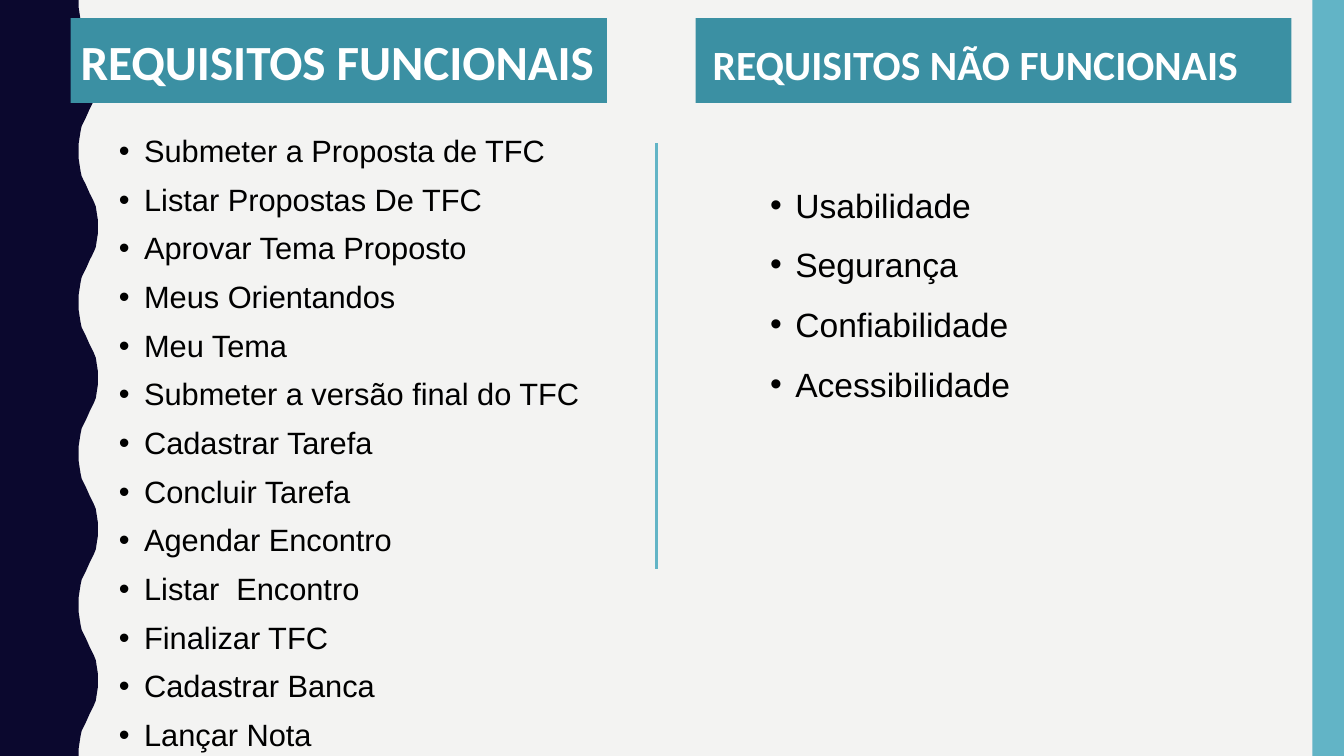
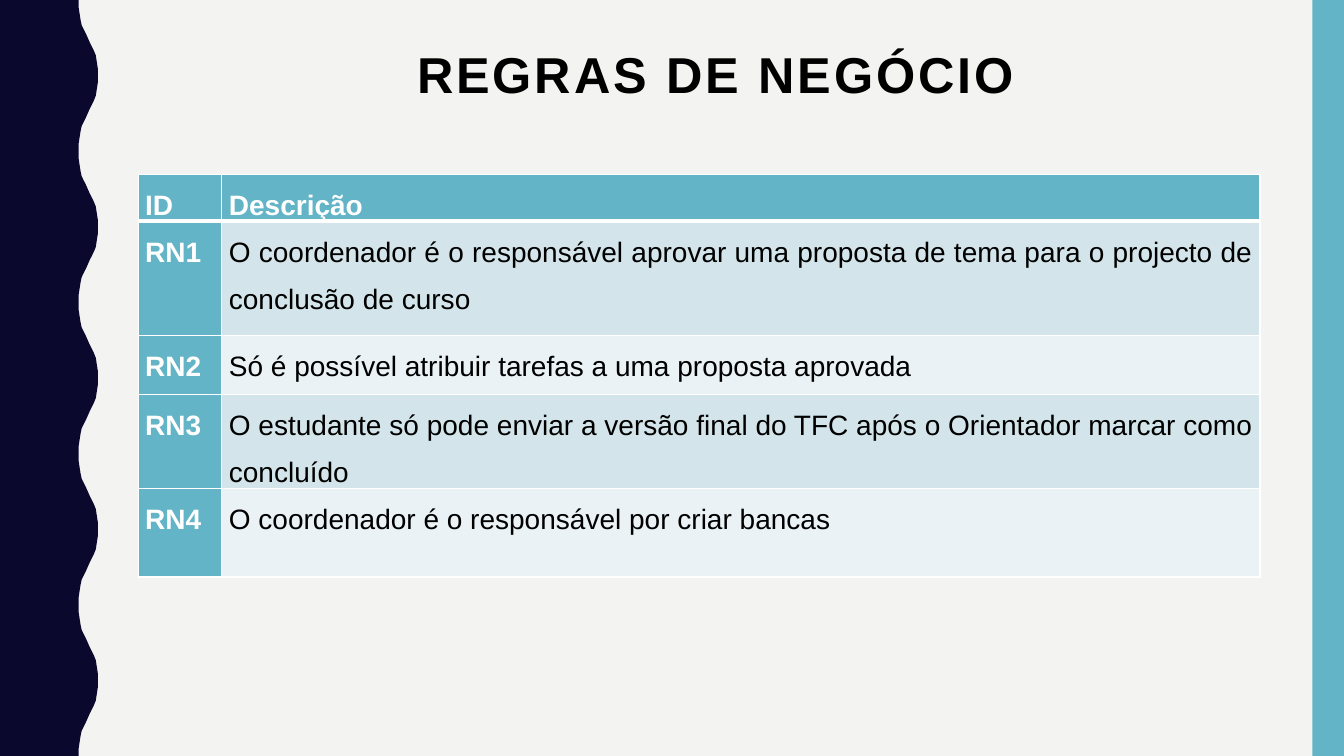
from lxml.etree import SubElement
from pptx import Presentation
from pptx.dml.color import RGBColor
from pptx.enum.shapes import MSO_CONNECTOR, MSO_SHAPE
from pptx.enum.text import MSO_ANCHOR, MSO_AUTO_SIZE, PP_ALIGN
from pptx.oxml import parse_xml
from pptx.oxml.ns import nsdecls, qn
from pptx.util import Inches, Pt

COLORS = {
    "background": "F3F3F2",
    "navy": "0B082E",
    "aqua": "62B4C6",
    "teal": "3B90A3",
    "row_dark": "D3E5EA",
    "row_light": "EAF2F5",
    "white": "FFFFFF",
    "black": "000000",
}

FUNCTIONAL = [
    "Submeter a Proposta de TFC",
    "Listar Propostas De TFC",
    "Aprovar Tema Proposto",
    "Meus Orientandos",
    "Meu Tema",
    "Submeter a versão final do TFC",
    "Cadastrar Tarefa",
    "Concluir Tarefa",
    "Agendar Encontro",
    "Listar  Encontro",
    "Finalizar TFC",
    "Cadastrar Banca",
    "Lançar Nota",
]
NON_FUNCTIONAL = ["Usabilidade", "Segurança", "Confiabilidade", "Acessibilidade"]
RULES = [
    ("ID", "Descrição"),
    ("RN1", "O coordenador é o responsável aprovar uma proposta de tema "
            "para o projecto de conclusão de curso"),
    ("RN2", "Só é possível atribuir tarefas a uma proposta aprovada"),
    ("RN3", "O estudante só pode enviar a versão final do TFC após o "
            "Orientador marcar como concluído"),
    ("RN4", "O coordenador é o responsável por criar bancas"),
]

# One half of a wave, as (right, down) in percent of the slide
WAVE_LEFT, WAVE_HEIGHT = 5.85, 20
HALF_WAVE = [
    (0, 0), (0, 0.93), (0.08, 1.87), (0.15, 2.67), (0.23, 3.33),
    (0.38, 3.87), (0.53, 4.4), (0.68, 5), (0.83, 5.6), (0.98, 6.13),
    (1.13, 6.67), (1.28, 7.33), (1.35, 8.13), (1.43, 9.07), (1.43, 10),
]


def color(name):
    return RGBColor.from_string(COLORS[name])


def write(frame, lines, size=20, font="Arial", ink="black", bold=False,
          align=PP_ALIGN.LEFT, line_spacing=0.9, before=0, after=0,
          bullet=False, tracking=0):
    """Fill a text frame, one paragraph a line."""
    frame.text = "\n".join(lines)
    for paragraph in frame.paragraphs:
        paragraph.alignment = align
        paragraph.line_spacing = line_spacing
        paragraph.space_before = Pt(before)
        paragraph.space_after = Pt(after)
        if bullet:
            properties = paragraph._p.get_or_add_pPr()
            properties.set("marL", str(Inches(0.25)))
            properties.set("indent", str(-Inches(0.25)))
            SubElement(properties, qn("a:buChar")).set("char", "•")
        for run in paragraph.runs:
            run.font.name = font
            run.font.size = Pt(size)
            run.font.bold = bold
            run.font.color.rgb = color(ink)
            if tracking:
                run.font._element.set("spc", str(tracking * 100))


class Deck:
    """The shared style and the current slide; lengths are percent of it."""

    def __init__(self):
        self.presentation = Presentation()
        self.presentation.slide_width = Inches(13.333)
        self.presentation.slide_height = Inches(7.5)
        self.slide = None

    def x(self, share):
        return round(self.presentation.slide_width * share / 100)

    def y(self, share):
        return round(self.presentation.slide_height * share / 100)

    def box(self, left, top, width, height):
        return self.x(left), self.y(top), self.x(width), self.y(height)

    def new_slide(self, layout):
        layouts = self.presentation.slide_layouts
        self.slide = self.presentation.slides.add_slide(layouts.get_by_name(layout))

    def decorate_master(self):
        """Give the master its background, wavy edge and right strip."""
        master = self.presentation.slide_master
        master.background.fill.solid()
        master.background.fill.fore_color.rgb = color("background")
        decorations = [(self.wave(), "navy"), (self.strip(), "aqua")]
        for number, (shape, fill) in enumerate(decorations):
            shape.fill.solid()
            shape.fill.fore_color.rgb = color(fill)
            shape.line.fill.background()
            shape.shadow.inherit = False
            shape.element.nvSpPr.cNvPr.id = 101 + number
            master.shapes.element.insert(2 + number, shape.element)

    def wave(self):
        points = []
        for top in range(0, 100, WAVE_HEIGHT):
            points += [(right, top + down) for right, down in HALF_WAVE]
            points += [(right, top + WAVE_HEIGHT - down)
                       for right, down in reversed(HALF_WAVE)]
        outline = [(self.x(WAVE_LEFT + right), self.y(down)) for right, down in points]
        builder = self.slide.shapes.build_freeform(0, 0)
        builder.add_line_segments(outline + [(0, self.y(100))], close=True)
        return builder.convert_to_shape()

    def strip(self):
        return self.slide.shapes.add_shape(
            MSO_SHAPE.RECTANGLE, *self.box(97.65, 0, 2.35, 100))

    def placeholder(self, index, place, lines, anchor=MSO_ANCHOR.TOP, **style):
        shape = self.slide.placeholders[index]
        shape.left, shape.top, shape.width, shape.height = self.box(*place)
        frame = shape.text_frame
        frame.word_wrap = True
        frame.auto_size = MSO_AUTO_SIZE.NONE
        frame.vertical_anchor = anchor
        write(frame, lines, **style)
        return shape

    def heading(self, index, place, text, left_inset, top_inset, **style):
        """A heading on a teal band."""
        shape = self.placeholder(index, place, [text], MSO_ANCHOR.MIDDLE,
                                 font="Calibri", ink="white", bold=True, **style)
        shape.fill.solid()
        shape.fill.fore_color.rgb = color("teal")
        shape.text_frame.margin_left = Inches(left_inset)
        shape.text_frame.margin_top = Inches(top_inset)
        shape.text_frame.margin_right = 0

    def bullets(self, index, place, lines, **style):
        self.placeholder(index, place, lines, bullet=True, before=11, **style)

    def divider(self, left, top, bottom):
        connector = self.slide.shapes.add_connector(
            MSO_CONNECTOR.STRAIGHT,
            self.x(left), self.y(top), self.x(left), self.y(bottom))
        connector.line.color.rgb = color("aqua")
        connector.line.width = Pt(2.25)
        SubElement(connector.element.spPr, qn("a:effectLst"))

    def table(self, left, top, columns, heights, rows):
        frame = self.slide.shapes.add_table(
            len(rows), len(columns),
            *self.box(left, top, sum(columns), sum(heights)))
        table = frame.table
        for column, width in zip(table.columns, columns):
            column.width = self.x(width)
        for row, height in zip(table.rows, heights):
            row.height = self.y(height)
        for i, texts in enumerate(rows):
            for j, text in enumerate(texts):
                label = i == 0 or j == 0
                band = "row_dark" if i % 2 else "row_light"
                self.cell(table.cell(i, j), text, "aqua" if label else band, label,
                          top_line=3 if i == 1 else 1,
                          bottom_line=3 if i == 0 else 1)

    def cell(self, cell, text, fill, label, top_line, bottom_line):
        properties = cell._tc.get_or_add_tcPr()
        borders = {"lnL": 1, "lnR": 1, "lnT": top_line, "lnB": bottom_line}
        for side, width in borders.items():
            properties.append(parse_xml(
                f'<a:{side} {nsdecls("a")} w="{Pt(width)}"><a:solidFill>'
                f'<a:srgbClr val="{COLORS["white"]}"/></a:solidFill></a:{side}>'))
        cell.fill.solid()
        cell.fill.fore_color.rgb = color(fill)
        cell.margin_left = cell.margin_right = Inches(0.07)
        cell.margin_top = cell.margin_bottom = 0
        write(cell.text_frame, [text], ink="white" if label else "black",
              bold=label, align=PP_ALIGN.JUSTIFY, line_spacing=1.5,
              before=6, after=6)

    def remove_empty(self):
        for shape in list(self.slide.placeholders):
            if not shape.text_frame.text:
                shape.element.getparent().remove(shape.element)


def main():
    deck = Deck()

    # Requirements, side by side
    deck.new_slide("Comparison")
    deck.decorate_master()
    deck.heading(0, (5.25, 2.4, 39.9, 11.2), "REQUISITOS FUNCIONAIS",
                 left_inset=0.1, top_inset=0.13, size=35.1)
    deck.bullets(2, (8.1, 17.33, 39.45, 80.53), FUNCTIONAL, size=22)
    deck.heading(3, (51.75, 2.4, 44.33, 11.2), "REQUISITOS NÃO FUNCIONAIS",
                 left_inset=0.17, top_inset=0.21, size=29.7, line_spacing=0.8)
    deck.bullets(4, (56.55, 23.2, 37, 32.13), NON_FUNCTIONAL, size=24,
                 line_spacing=1.1, align=PP_ALIGN.JUSTIFY)
    deck.divider(48.83, 18.93, 75.33)
    deck.remove_empty()

    # Business rules
    deck.new_slide("Title Only")
    deck.placeholder(0, (19.88, 6, 66.75, 10.53), ["REGRAS DE NEGÓCIO"],
                     size=36, bold=True, align=PP_ALIGN.CENTER, tracking=2)
    deck.table(10.28, 23.07, columns=(6.23, 77.25),
               heights=(6, 15.07, 7.87, 12.4, 11.73), rows=RULES)

    deck.presentation.save("out.pptx")


if __name__ == "__main__":
    main()
